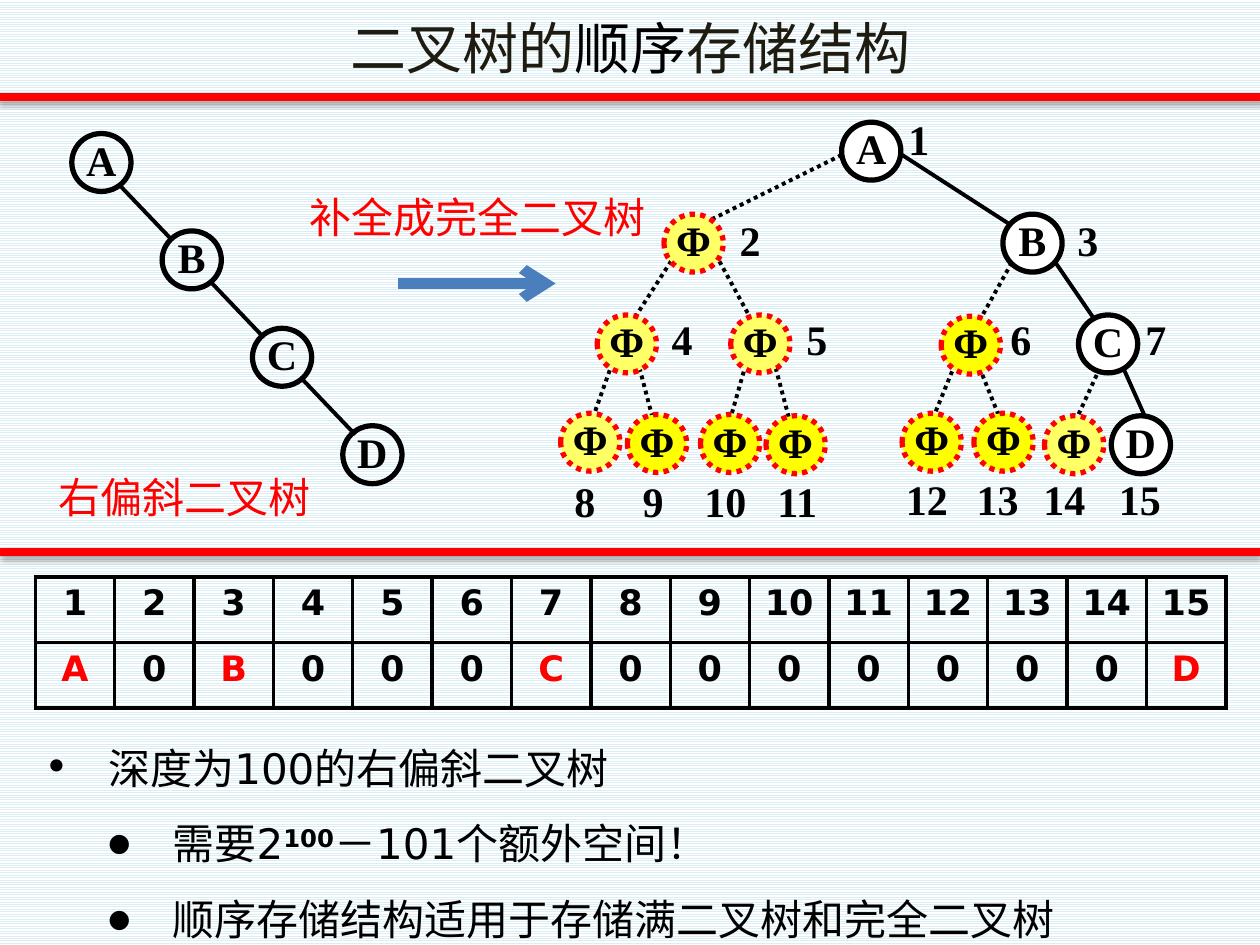
"""Build the slide on sequential storage of a right-skewed binary tree."""
from dataclasses import dataclass

from lxml import etree
from pptx import Presentation, util as u
from pptx.dml import color
from pptx.enum import dml, shapes, text
from pptx.oxml import ns


@dataclass(frozen=True)
class Theme:
    """Colours, fonts and type sizes of the slide."""
    black: str = "000000"
    white: str = "FFFFFF"
    red: str = "FF0000"
    blue: str = "4B7EBC"
    title: str = "1E1C11"
    stripe: str = "DBEEF4"
    pale: str = "FFFF66"
    bright: str = "FFFF00"
    sans: str = "DejaVu Sans"
    serif: str = "Times New Roman"
    chinese: str = "Noto Sans CJK SC"
    title_size: int = 32
    body_size: int = 24
    table_size: int = 20


THEME = Theme()
NODE_SIZE = (0.47, 0.46)
SKEWED = "ABCD"
STORED = {2 ** (depth + 1) - 1: name for depth, name in enumerate(SKEWED)}
PALE_SLOTS = (2, 4, 5, 8, 14)
NODES = {
    1: (6.68, 0.97), 2: (5.27, 1.7), 3: (7.96, 1.7), 4: (4.74, 2.5),
    5: (5.8, 2.5), 6: (7.47, 2.51), 7: (8.56, 2.5), 8: (4.45, 3.28),
    9: (4.98, 3.29), 10: (5.56, 3.29), 11: (6.08, 3.3), 12: (7.16, 3.28),
    13: (7.73, 3.28), 14: (8.29, 3.3), 15: (8.82, 3.3),
}
NUMBERS = {
    1: (7.21, 0.88), 2: (5.87, 1.68), 3: (8.55, 1.68), 4: (5.33, 2.47),
    5: (6.4, 2.47), 6: (8.02, 2.47), 7: (9.09, 2.47), 8: (4.56, 3.75),
    9: (5.1, 3.75), 10: (5.59, 3.75), 11: (6.17, 3.75), 12: (7.19, 3.74),
    13: (7.75, 3.74), 14: (8.28, 3.74), 15: (8.88, 3.74),
}
EDGES = {
    2: (6.68, 1.23, 5.59, 1.77), 3: (7.16, 1.23, 8.06, 1.81),
    4: (5.36, 2.02, 5.02, 2.55), 5: (5.68, 2.02, 5.97, 2.55),
    6: (8.06, 2.03, 7.76, 2.57), 7: (8.34, 2.03, 8.69, 2.54),
    8: (4.86, 2.88, 4.7, 3.33), 9: (5.06, 2.86, 5.18, 3.32),
    10: (5.92, 2.89, 5.8, 3.31), 11: (6.14, 2.86, 6.26, 3.31),
    12: (7.58, 2.89, 7.4, 3.33), 13: (7.75, 2.86, 7.94, 3.33),
    14: (8.73, 2.92, 8.55, 3.31), 15: (8.91, 2.91, 9.08, 3.29),
}
POINTS = (
    (0.51, "•", 100, [("深度为100的右偏斜二叉树", {})]),
    (1.02, "●", 60, [("需要2", {}), ("100", {"bold": True, "baseline": 30000}),
                     ("－101个额外空间！", {})]),
    (1.02, "●", 60, [("顺序存储结构适用于存储满二叉树和完全二叉树", {})]),
)


def rgb(value):
    """Turn a hex string into a colour."""
    return color.RGBColor.from_string(value)


def inches(*values):
    """Turn plain numbers into lengths."""
    return [u.Inches(value) for value in values]


def apply(target, formats):
    """Set every attribute named in a dict of format values."""
    for name, value in formats.items():
        setattr(target, name, value)


def add_xml(parent, tag, **attributes):
    """Append a DrawingML element and return it."""
    return etree.SubElement(parent, ns.qn(f"a:{tag}"), attributes)


def add_run(paragraph, words, size, face, ink, bold=False, baseline=None):
    """Append a formatted run to a paragraph."""
    run = paragraph.add_run()
    run.text = words
    apply(run.font, {"size": u.Pt(size), "name": face, "bold": bold})
    run.font.color.rgb = rgb(ink)
    properties = run._r.get_or_add_rPr()
    add_xml(properties, "ea", typeface=face)
    if baseline:
        properties.set("baseline", str(baseline))


def set_frame(frame, insets, anchor=text.MSO_ANCHOR.TOP):
    """Set margins, wrapping and anchor, and return the first paragraph."""
    sides = ("margin_left", "margin_top", "margin_right", "margin_bottom")
    apply(frame, dict(zip(sides, inches(*insets))))
    apply(frame, {"word_wrap": True, "vertical_anchor": anchor,
                  "auto_size": text.MSO_AUTO_SIZE.NONE})
    return frame.paragraphs[0]


def add_line(slide, ends, ink, width, dotted=False):
    """Draw a straight line and return it with an empty effect list."""
    line = slide.shapes.add_connector(shapes.MSO_CONNECTOR.STRAIGHT, *inches(*ends))
    line.line.color.rgb = rgb(ink)
    line.line.width = u.Pt(width)
    if dotted:
        line.line.dash_style = dml.MSO_LINE.ROUND_DOT
    return line, add_xml(line._element.spPr, "effectLst")


def add_divider(slide, left, right, top):
    """Draw a red rule with a soft shadow."""
    effects = add_line(slide, (left, top, right, top), THEME.red, 4.5)[1]
    shadow = add_xml(effects, "outerShdw", blurRad=str(u.Pt(3.1)), dist=str(u.Pt(1.8)),
                     dir="5400000", rotWithShape="0")
    add_xml(add_xml(shadow, "srgbClr", val=THEME.black), "alpha", val="35000")


def add_arrow(slide, ends):
    """Draw the arrow from the skewed tree to the complete tree."""
    arrow = add_line(slide, ends, THEME.blue, 6)[0]
    add_xml(arrow.line._get_or_add_ln(), "tailEnd", type="arrow")


def add_node(slide, place, name, fill=None, empty=False):
    """Draw a round tree node, dotted red when its slot is empty."""
    node = slide.shapes.add_shape(shapes.MSO_SHAPE.OVAL, *inches(*place, *NODE_SIZE))
    node.shadow.inherit = False
    if fill:
        node.fill.solid()
        node.fill.fore_color.rgb = rgb(fill)
    else:
        node.fill.background()
    node.line.color.rgb = rgb(THEME.red if empty else THEME.black)
    node.line.width = u.Pt(3)
    if empty:
        node.line.dash_style = dml.MSO_LINE.ROUND_DOT
    paragraph = set_frame(node.text_frame, (0, 0, 0, 0), text.MSO_ANCHOR.MIDDLE)
    apply(paragraph, {"alignment": text.PP_ALIGN.CENTER, "line_spacing": 0.9})
    add_run(paragraph, name, THEME.body_size, THEME.serif, THEME.black, True)


def add_number(slide, place, number):
    """Write the array index beside a node."""
    width = 0.27 if number < 10 else 0.42
    box = slide.shapes.add_textbox(*inches(*place, width, 0.39))
    paragraph = set_frame(box.text_frame, (0, 0.02, 0, 0))
    paragraph.alignment = text.PP_ALIGN.JUSTIFY
    add_run(paragraph, str(number), THEME.body_size, THEME.serif, THEME.black, True)


def add_caption(slide, place, words):
    """Write a red caption."""
    box = slide.shapes.add_textbox(*inches(*place))
    paragraph = set_frame(box.text_frame, (0, 0.05, 0, 0.05))
    paragraph.alignment = text.PP_ALIGN.CENTER
    add_run(paragraph, words, THEME.body_size, THEME.chinese, THEME.red)


def add_skewed_tree(slide):
    """Draw the right-skewed tree as an evenly stepped chain."""
    for step, name in enumerate(SKEWED):
        if step:
            x, y = 0.94 + 0.725 * (step - 1), 1.46 + 0.77 * (step - 1)
            add_line(slide, (x, y, x + 0.43, y + 0.45), THEME.black, 2.25)
        add_node(slide, (0.57 + 0.717 * step, 1.06 + 0.773 * step), name)


def add_complete_tree(slide):
    """Draw the tree filled up with empty nodes and numbered."""
    for child, ends in EDGES.items():
        add_line(slide, ends, THEME.black, 2.25, child not in STORED)
    for slot, place in NODES.items():
        empty = slot not in STORED
        filler = THEME.pale if slot in PALE_SLOTS else THEME.bright
        add_node(slide, place, STORED.get(slot, "Φ"), filler if empty else THEME.white, empty)
        add_number(slide, NUMBERS[slot], slot)


def add_cell(cell, words, ink):
    """Fill in and outline one table cell."""
    cell.fill.background()
    paragraph = cell.text_frame.paragraphs[0]
    paragraph.alignment = text.PP_ALIGN.CENTER
    add_run(paragraph, words, THEME.table_size, THEME.sans, ink, True)
    properties = cell._tc.get_or_add_tcPr()
    for position, side in enumerate(("lnL", "lnR", "lnT", "lnB")):
        border = add_xml(properties, side, w=str(u.Pt(2.25)))
        add_xml(add_xml(border, "solidFill"), "srgbClr", val=THEME.black)
        properties.insert(position, border)


def add_storage_table(slide):
    """Show the array index above the stored value of each slot."""
    table = slide.shapes.add_table(2, len(NODES), *inches(0.28, 4.58, 9.45, 1.04)).table
    apply(table, {"first_row": False, "horz_banding": False})
    for column, slot in enumerate(NODES):
        add_cell(table.cell(0, column), str(slot), THEME.black)
        ink = THEME.red if slot in STORED else THEME.black
        add_cell(table.cell(1, column), STORED.get(slot, "0"), ink)


def place_text(placeholder, place, anchor):
    """Move a placeholder and return its first paragraph."""
    apply(placeholder, dict(zip(("left", "top", "width", "height"), inches(*place))))
    return set_frame(placeholder.text_frame, (0.1, 0.05, 0.1, 0.05), anchor)


def fill_title(title):
    """Write the title with its middle word in black."""
    paragraph = place_text(title, (0, 0.05, 10.01, 0.65), text.MSO_ANCHOR.MIDDLE)
    paragraph.alignment = text.PP_ALIGN.CENTER
    for words, ink in (("二叉树的", THEME.title), ("顺序", THEME.black), ("存储结构", THEME.title)):
        add_run(paragraph, words, THEME.title_size, THEME.sans, ink)


def fill_points(body):
    """Write the bulleted conclusions."""
    paragraph = place_text(body, (0.25, 5.64, 9.52, 1.86), text.MSO_ANCHOR.TOP)
    for index, (indent, bullet, percent, runs) in enumerate(POINTS):
        paragraph = body.text_frame.add_paragraph() if index else paragraph
        properties = paragraph._p.get_or_add_pPr()
        apply(paragraph, {"level": 1, "line_spacing": 1.5, "space_before": u.Pt(0)})
        properties.set("marL", str(u.Inches(indent)))
        properties.set("indent", str(u.Inches(-0.51)))
        add_xml(add_xml(properties, "buClr"), "srgbClr", val=THEME.black)
        add_xml(properties, "buSzPct", val=str(percent * 1000))
        add_xml(properties, "buFont", typeface="DejaVu Sans")
        add_xml(properties, "buChar", char=bullet)
        for words, formats in runs:
            add_run(paragraph, words, THEME.body_size, THEME.sans, THEME.black, **formats)


def main():
    """Build and save the slide."""
    deck = Presentation()
    apply(deck, {"slide_width": u.Inches(10), "slide_height": u.Inches(7.5)})
    slide = deck.slides.add_slide(deck.slide_layouts[1])
    backdrop = slide.background.fill
    backdrop.patterned()
    backdrop.pattern = dml.MSO_PATTERN.LIGHT_HORIZONTAL
    backdrop.fore_color.rgb = rgb(THEME.stripe)
    backdrop.back_color.rgb = rgb(THEME.white)
    fill_title(slide.shapes.title)
    fill_points(slide.placeholders[1])
    add_divider(slide, -0.01, 10.01, 0.77)
    add_storage_table(slide)
    add_complete_tree(slide)
    add_caption(slide, (0.06, 3.69, 2.81, 0.5), "右偏斜二叉树")
    add_skewed_tree(slide)
    add_divider(slide, 0, 10, 4.38)
    add_arrow(slide, (3.16, 2.25, 4.41, 2.25))
    add_caption(slide, (2.09, 1.47, 3.4, 0.5), "补全成完全二叉树")
    deck.save("out.pptx")


if __name__ == "__main__":
    main()
